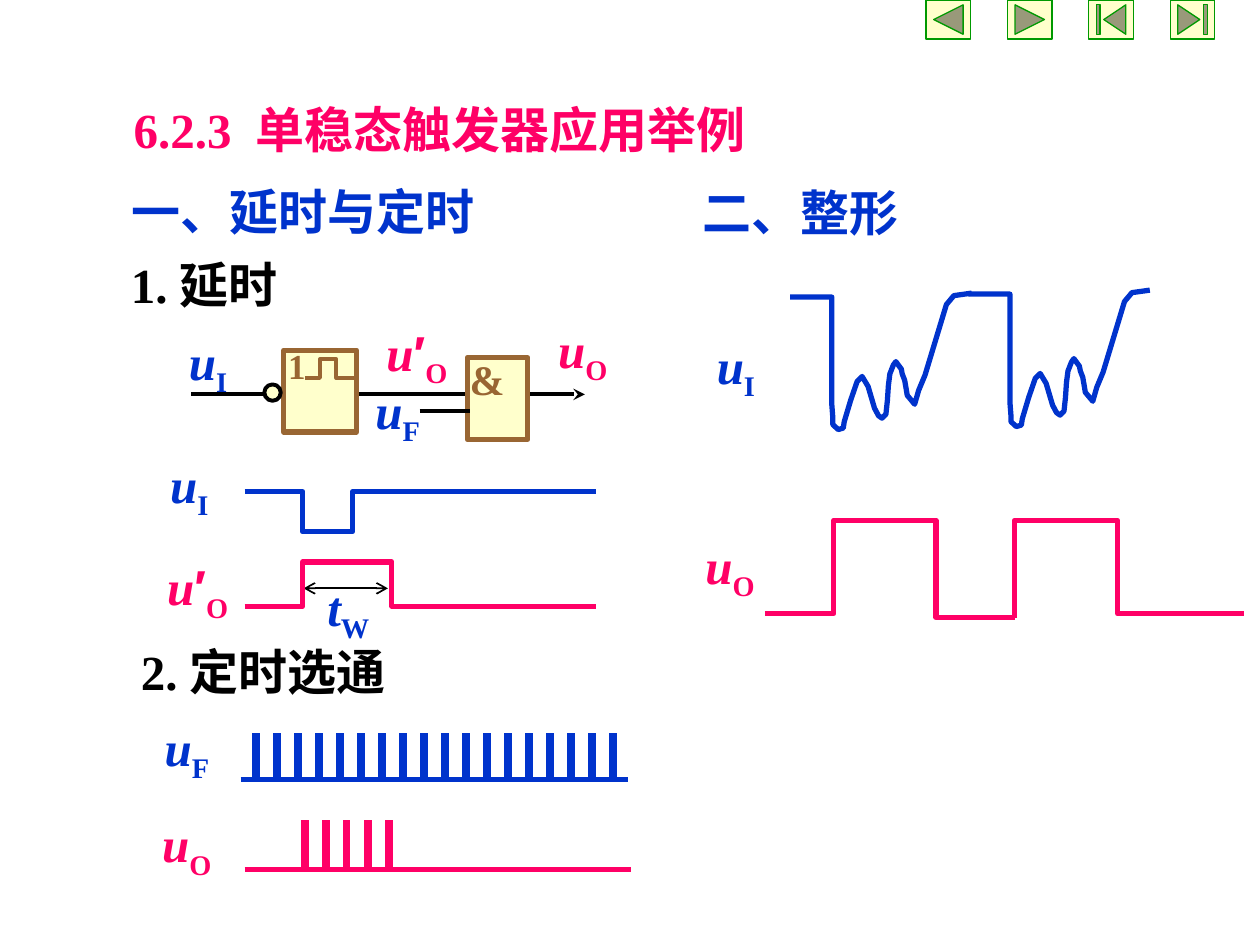
from lxml import etree
from pptx import Presentation
from pptx.dml.color import RGBColor
from pptx.enum.shapes import MSO_CONNECTOR, MSO_SHAPE
from pptx.enum.text import MSO_ANCHOR, PP_ALIGN
from pptx.oxml.ns import qn
from pptx.util import Cm, Pt

STRAIGHT = MSO_CONNECTOR.STRAIGHT
RECT, OVAL = MSO_SHAPE.RECTANGLE, MSO_SHAPE.OVAL
NAV_BUTTONS = [
    MSO_SHAPE.ACTION_BUTTON_BACK_OR_PREVIOUS,
    MSO_SHAPE.ACTION_BUTTON_FORWARD_OR_NEXT,
    MSO_SHAPE.ACTION_BUTTON_BEGINNING,
    MSO_SHAPE.ACTION_BUTTON_END,
]
LEFT, TOP = PP_ALIGN.LEFT, MSO_ANCHOR.TOP
COLORS = {
    "pink": "FF0066", "blue": "0033CC", "black": "000000",
    "brown": "996633", "cream": "FFFFCC", "green": "009900",
}
PULSE_STEP = 2.54 / 6

# One distorted input pulse, relative to its starting point (cm)
NOISY_PULSE = [
    (0, 0), (0.84, 0), (0.84, 2.18), (0.86, 2.44), (0.86, 2.57), (0.97, 2.67),
    (1.07, 2.64), (1.09, 2.51), (1.22, 2.08), (1.35, 1.7), (1.45, 1.6),
    (1.57, 1.8), (1.7, 2.24), (1.78, 2.39), (1.85, 2.44), (1.93, 2.36),
    (1.96, 2.08), (1.98, 1.78), (2.01, 1.55), (2.08, 1.37), (2.13, 1.3),
    (2.18, 1.37), (2.24, 1.45), (2.26, 1.55), (2.31, 1.68), (2.36, 1.98),
    (2.51, 2.16), (2.59, 1.88), (2.72, 1.57), (3.15, 0.15), (3.3, -0.03),
    (3.66, -0.08),
]


def rgb(name):
    return RGBColor.from_string(COLORS[name])


def style_line(line, color, width):
    line.color.rgb = rgb(color)
    line.width = Pt(width)


def add_run(p, text, color="black", size=28, font="Times New Roman",
            italic=False, subscript=False):
    r = p.add_run()
    r.text = text
    r.font.name = font
    r.font.size = Pt(size)
    r.font.bold = True
    r.font.italic = italic
    r.font.color.rgb = rgb(color)
    if subscript:
        r._r.get_or_add_rPr().set("baseline", "-25000")


def add_box(s, x, y, w, h, wrap=True):
    """Add an empty text box and return its first paragraph."""
    tf = s.shapes.add_textbox(Cm(x), Cm(y), Cm(w), Cm(h)).text_frame
    tf.word_wrap = wrap
    return tf.paragraphs[0]


def add_title(s, text):
    sp = s.shapes.title
    sp.left, sp.top, sp.width, sp.height = Cm(2.44), Cm(1.88), Cm(18.21), Cm(1.45)
    tf = sp.text_frame
    tf.vertical_anchor = TOP
    p = tf.paragraphs[0]
    p.alignment = LEFT
    add_run(p, text, color="pink")


def add_signal(s, name, x, y, w, color, wrap=True):
    """Add a signal name: italic letter, optional prime, subscript."""
    p = add_box(s, x, y, w, 1.6, wrap)
    add_run(p, name[0], color=color, italic=True)
    if "′" in name:
        add_run(p, "′", color=color, font="Arial")
    add_run(p, name[-1], color=color, subscript=True)


def add_shape(s, kind, x, y, w, h, color, width):
    sp = s.shapes.add_shape(kind, Cm(x), Cm(y), Cm(w), Cm(h))
    sp.shadow.inherit = False
    sp.fill.solid()
    sp.fill.fore_color.rgb = rgb("cream")
    style_line(sp.line, color, width)


def add_line(s, x1, y1, x2, y2, color, width=3.0, head=None, tail=None):
    c = s.shapes.add_connector(STRAIGHT, Cm(x1), Cm(y1), Cm(x2), Cm(y2))
    style_line(c.line, color, width)
    ln = c.line._get_or_add_ln()
    for tag, kind in (("a:headEnd", head), ("a:tailEnd", tail)):
        if kind:
            etree.SubElement(ln, qn(tag)).set("type", kind)
    etree.SubElement(c._element.spPr, qn("a:effectLst"))


def add_wave(s, points, color, width=3.0):
    pts = [(Cm(x), Cm(y)) for x, y in points]
    fb = s.shapes.build_freeform(*pts[0])
    fb.add_line_segments(pts[1:], close=False)
    sp = fb.convert_to_shape()
    sp.shadow.inherit = False
    sp.fill.background()
    style_line(sp.line, color, width)


def add_step(s, xs, base, level, color, end=None):
    """Add one pulse from base to level and back; xs are start, edges and end."""
    x0, rise, fall, x1 = xs
    end = base if end is None else end
    add_wave(s, [(x0, base), (rise, base), (rise, level), (fall, level),
                 (fall, end), (x1, end)], color)


def add_pulse_train(s, first, count, top, bottom, color):
    for i in range(count):
        x = first + i * PULSE_STEP
        add_line(s, x, top, x, bottom, color, width=4.5)


def draw_circuit(s):
    add_line(s, 3.86, 7.95, 11.79, 7.95, "black", 2.25, tail="stealth")
    add_shape(s, RECT, 5.72, 7.06, 1.47, 1.65, "brown", 3)
    add_wave(s, [(7.16, 7.62), (6.78, 7.62), (6.78, 7.24), (6.45, 7.24),
                 (6.45, 7.62), (6.15, 7.62)], "brown", 2.25)
    add_run(add_box(s, 5.56, 6.83, 0.86, 1.12, wrap=False), "1", color="brown", size=20)
    add_shape(s, OVAL, 5.33, 7.75, 0.33, 0.33, "black", 2.25)
    add_shape(s, RECT, 9.42, 7.21, 1.22, 1.65, "brown", 3)
    add_run(add_box(s, 9.22, 7.01, 1.22, 1.27, wrap=False), "&", color="brown", size=24)
    add_line(s, 8.46, 8.28, 9.47, 8.28, "black", 2.25)
    add_signal(s, "uI", 3.56, 6.55, 1.7, "blue")
    add_signal(s, "u′O", 7.54, 6.38, 1.83, "pink", wrap=False)
    add_signal(s, "uO", 11, 6.32, 1.5, "pink", wrap=False)
    add_signal(s, "uF", 7.32, 7.54, 1.96, "blue")


def draw_delay(s):
    add_step(s, (4.93, 6.1, 7.11, 12.01), 9.91, 10.72, "blue")
    add_signal(s, "uI", 3.18, 9.04, 1.96, "blue")
    add_signal(s, "u′O", 3.12, 11.1, 2.49, "pink")
    add_line(s, 6.12, 11.86, 7.82, 11.86, "black", 1, head="arrow", tail="arrow")
    add_signal(s, "tW", 6.35, 11.51, 1.35, "blue", wrap=False)
    add_step(s, (4.93, 6.1, 7.9, 12.01), 12.22, 11.33, "pink")


def draw_gating(s):
    add_signal(s, "uF", 3.07, 14.33, 2.21, "blue")
    add_pulse_train(s, 5.16, 18, 14.78, 15.77, "blue")
    add_line(s, 4.85, 15.72, 12.65, 15.72, "blue")
    add_signal(s, "uO", 3.02, 16.28, 2.16, "pink")
    add_pulse_train(s, 6.14, 5, 16.54, 17.53, "pink")
    add_line(s, 4.93, 17.53, 12.73, 17.53, "pink")


def draw_shaping(s):
    for x, y in ((15.93, 5.99), (19.52, 5.93)):
        add_wave(s, [(x + dx, y + dy) for dx, dy in NOISY_PULSE], "blue")
    add_signal(s, "uI", 14.2, 6.63, 2.06, "blue")
    add_signal(s, "uO", 13.97, 10.67, 2.39, "pink")
    add_step(s, (15.42, 16.81, 18.87, 20.47), 12.37, 10.49, "pink", end=12.45)
    add_wave(s, [(20.45, 12.45), (20.45, 10.49), (22.53, 10.49),
                 (22.53, 12.37), (25.07, 12.37)], "pink")


def main():
    prs = Presentation()
    prs.slide_width, prs.slide_height = Cm(25.4), Cm(19.05)
    s = prs.slides.add_slide(prs.slide_layouts[5])
    add_title(s, "6.2.3  单稳态触发器应用举例")
    for text, x, y, w, color in (
        ("一、延时与定时", 2.41, 3.53, 9.09, "blue"),
        ("1. 延时", 2.39, 5, 4.8, "black"),
        ("2. 定时选通", 2.59, 12.8, 6.71, "black"),
        ("二、整形", 13.92, 3.56, 9.09, "blue"),
    ):
        add_run(add_box(s, x, y, w, 1.45), text, color=color)
    draw_circuit(s)
    draw_delay(s)
    draw_gating(s)
    draw_shaping(s)
    for i, kind in enumerate(NAV_BUTTONS):
        add_shape(s, kind, 18.67 + i * 1.64, 0, 0.9, 0.79, "green", 0.75)
    prs.save("out.pptx")


if __name__ == "__main__":
    main()
